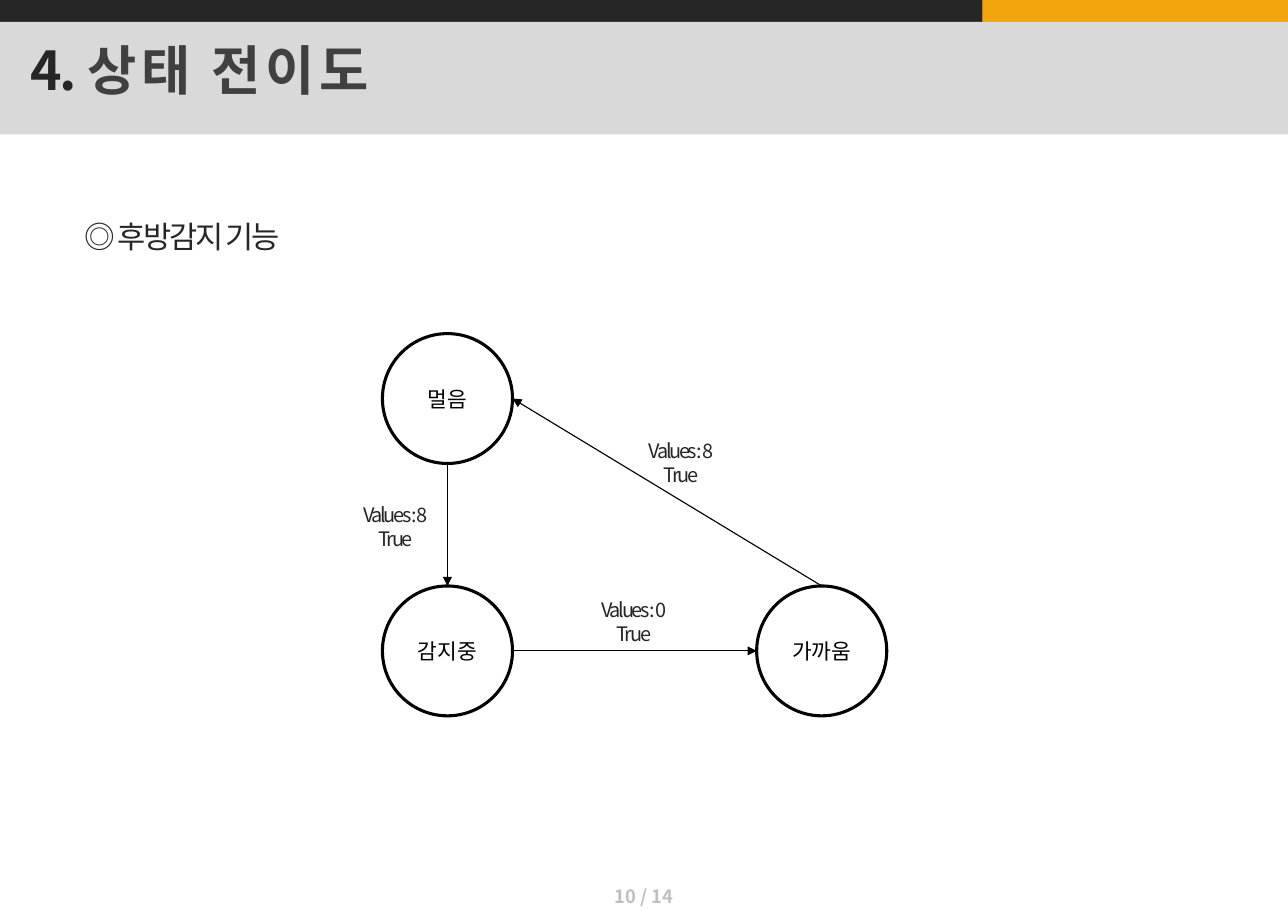
import pptx
import pptx.dml.color
import pptx.enum.shapes
import pptx.enum.text
import pptx.oxml
import pptx.oxml.ns
import pptx.util

SHAPES = pptx.enum.shapes.MSO_SHAPE
ALIGN = pptx.enum.text.PP_ALIGN
ANCHOR = pptx.enum.text.MSO_ANCHOR
DRAWING = pptx.oxml.ns.nsdecls("a")
INK = "262626"
TIGHT = -1.5


def colour(code):
    return pptx.dml.color.RGBColor.from_string(code)


def add_span(para, text, size=14, ink=INK, bold=False, spacing=0,
             font="Noto Sans CJK KR"):
    """Append formatted text; spacing is the letter spacing in points."""
    span = para.add_run()
    span.text = text
    span.font.name = font
    span.font.size = pptx.util.Pt(size)
    span.font.bold = bold
    span.font.color.rgb = colour(ink)
    properties = span.font._element
    properties.set("spc", str(int(spacing * 100)))
    properties.append(pptx.oxml.parse_xml(f'<a:ea {DRAWING} typeface="{font}"/>'))


class Diagram:
    """Draws on one page with a grid of 100 columns by 100 rows."""

    radius_columns, radius_rows = 5.05, 7.13
    label_columns, label_rows = 7.2, 6.5

    def __init__(self, deck):
        self.column = deck.slide_width / 100
        self.row = deck.slide_height / 100
        self.page = deck.slides.add_slide(deck.slide_layouts[6])

    def place(self, *lengths):
        """Turn alternating columns and rows into slide lengths."""
        units = (self.column, self.row) * 2
        return [round(length * unit) for length, unit in zip(lengths, units)]

    def shape(self, kind, area, fill=None):
        shape = self.page.shapes.add_shape(kind, *self.place(*area))
        shape.shadow.inherit = False
        if fill:
            shape.fill.solid()
            shape.fill.fore_color.rgb = colour(fill)
            shape.line.fill.background()
        else:
            shape.fill.background()
        return shape

    def text(self, area, *lines, align=ALIGN.LEFT):
        """Each line is a list of (text, format) pairs."""
        box = self.page.shapes.add_textbox(*self.place(*area))
        frame = box.text_frame
        frame.word_wrap = False
        for number, line in enumerate(lines):
            para = frame.add_paragraph() if number else frame.paragraphs[0]
            para.alignment = align
            for text, style in line:
                add_span(para, text, **style)

    def state(self, name, centre):
        x, y = centre
        area = (x - self.radius_columns, y - self.radius_rows,
                2 * self.radius_columns, 2 * self.radius_rows)
        circle = self.shape(SHAPES.OVAL, area)
        circle.line.color.rgb = colour("000000")
        circle.line.width = pptx.util.Pt(2)
        frame = circle.text_frame
        frame.word_wrap = False
        frame.vertical_anchor = ANCHOR.MIDDLE
        para = frame.paragraphs[0]
        para.alignment = ALIGN.CENTER
        add_span(para, name, ink="000000")

    def rim(self, centre, right=0, down=0):
        """Point on a state's circle in the given direction."""
        return (centre[0] + right * self.radius_columns,
                centre[1] + down * self.radius_rows)

    def arrow(self, start, end):
        arrow = self.page.shapes.add_connector(
            pptx.enum.shapes.MSO_CONNECTOR.STRAIGHT, *self.place(*start, *end))
        arrow.line.color.rgb = colour("000000")
        arrow.line.width = pptx.util.Pt(0.75)
        arrow.line._get_or_add_ln().append(
            pptx.oxml.parse_xml(f'<a:tailEnd {DRAWING} type="triangle"/>'))
        arrow._element.spPr.append(pptx.oxml.parse_xml(f"<a:effectLst {DRAWING}/>"))

    def condition(self, value, centre):
        x, y = centre
        style = {"size": 13, "spacing": TIGHT}
        area = (x - self.label_columns / 2, y - self.label_rows / 2,
                self.label_columns, self.label_rows)
        self.text(area, [(f"Values : {value}", style)], [("True", style)],
                  align=ALIGN.CENTER)


def main():
    deck = pptx.Presentation()
    deck.slide_width = pptx.util.Inches(11.69)
    deck.slide_height = pptx.util.Inches(8.27)
    diagram = Diagram(deck)

    bar, split, header = 2.42, 76.3, 12.33
    diagram.shape(SHAPES.RECTANGLE, (0, 0, split, bar), INK)
    diagram.shape(SHAPES.RECTANGLE, (split, 0, 100 - split, bar), "F1A40B")
    diagram.shape(SHAPES.RECTANGLE, (0, bar, 100, header), "D9D9D9")
    diagram.text((38.32, 96.6, 23.36, 4.2),
                 [("10 / 14", {"size": 12, "ink": "BFBFBF", "bold": True})],
                 align=ALIGN.CENTER)

    title = {"size": 35, "bold": True}
    diagram.text((1.54, 3.5, 30.45, 8.34),
                 [("4. ", {**title, "spacing": TIGHT}),
                  ("상태 전이도", {**title, "ink": "404040", "spacing": 3})])
    diagram.text((5.73, 23.34, 18.48, 5.32),
                 [("◎ 후방감지 기능", {"size": 20, "spacing": TIGHT})])

    left, right, top, bottom = 34.74, 63.8, 43.75, 71.45
    far, sensing, near = (left, top), (left, bottom), (right, bottom)
    for name, centre in (("감지중", sensing), ("멀음", far), ("가까움", near)):
        diagram.state(name, centre)

    transitions = (
        (diagram.rim(far, down=1), diagram.rim(sensing, down=-1), 8, (30.7, 57.8)),
        (diagram.rim(sensing, right=1), diagram.rim(near, right=-1), 0, (49.2, 68.3)),
        (diagram.rim(near, down=-1), diagram.rim(far, right=1), 8, (52.87, 50.8)),
    )
    for start, end, value, label in transitions:
        diagram.arrow(start, end)
        diagram.condition(value, label)

    deck.save("out.pptx")


if __name__ == "__main__":
    main()
